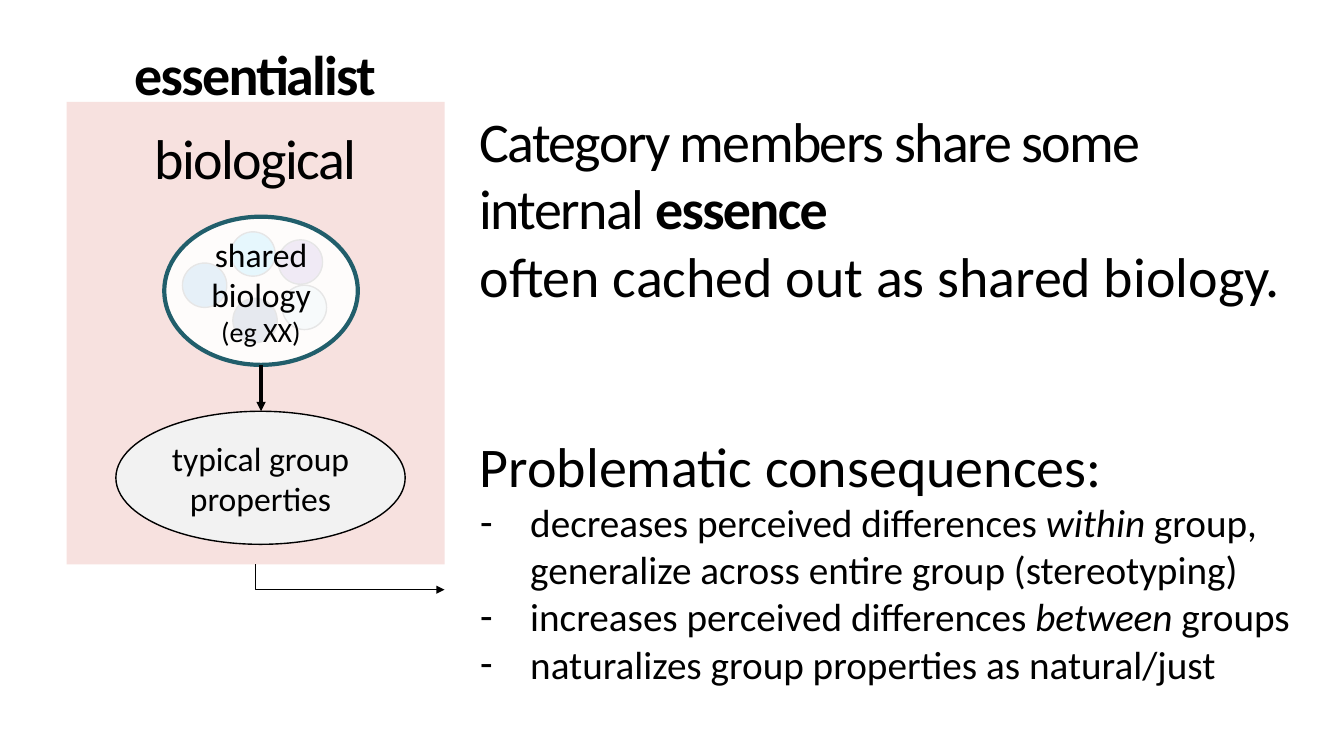
from lxml import etree
from pptx import Presentation
from pptx.dml.color import RGBColor
from pptx.enum.shapes import MSO_CONNECTOR, MSO_SHAPE
from pptx.enum.text import MSO_ANCHOR, MSO_AUTO_SIZE, PP_ALIGN
from pptx.oxml.ns import qn
from pptx.util import Inches, Pt

RECT, OVAL = MSO_SHAPE.RECTANGLE, MSO_SHAPE.OVAL
LINE, ELBOW = MSO_CONNECTOR.STRAIGHT, MSO_CONNECTOR.ELBOW
TOP, MID = MSO_ANCHOR.TOP, MSO_ANCHOR.MIDDLE
LEFT, MIDDLE = PP_ALIGN.LEFT, PP_ALIGN.CENTER
FIXED = MSO_AUTO_SIZE.NONE

BLACK = RGBColor(0x00, 0x00, 0x00)
WHITE = RGBColor(0xFF, 0xFF, 0xFF)
PINK = RGBColor(0xF7, 0xE1, 0xDF)
GRAY = RGBColor(0xF2, 0xF2, 0xF2)
TEAL = RGBColor(0x21, 0x5E, 0x6B)
NAVY = RGBColor(0x00, 0x20, 0x60)
SKY = RGBColor(0x00, 0xB0, 0xF0)
BLUE = RGBColor(0x00, 0x70, 0xC0)
PURPLE = RGBColor(0x70, 0x30, 0xA0)
PALE = RGBColor(0xB5, 0xD2, 0xD9)

FONT = "Calibri"
WIDE, HIGH = Inches(13.33), Inches(7.5)
COL, ROW = WIDE / 160, HIGH / 90
DOT = 5.28
DOTS = [
    (19.8, 23.4, NAVY),
    (19.56, 15.48, SKY),
    (13.8, 19.2, BLUE),
    (25.2, 16.44, PURPLE),
    (25.68, 21.84, PALE),
]
POINTS = [
    [("decreases perceived differences ", ""), ("within", "i"),
     (" group, generalize across entire group (stereotyping)", "")],
    [("increases perceived differences ", ""), ("between", "i"), (" groups", "")],
    [("naturalizes group properties as natural/just", "")],
]


def place(box, x, y, w=0, h=0):
    return (round((box[0] + x) * COL), round((box[1] + y) * ROW),
            round(w * COL), round(h * ROW))


def move(shape, spot):
    shape.left, shape.top, shape.width, shape.height = spot


def frame(shape, anchor):
    text = shape.text_frame
    text.word_wrap = True
    text.auto_size = FIXED
    text.vertical_anchor = anchor
    return text


def write(para, runs, size, align=LEFT, bold=False, tight=False):
    para.alignment = align
    para.space_before = Pt(0)
    font = para.font
    font.name, font.size, font.bold = FONT, Pt(size), bold
    font.color.rgb = BLACK
    for words, style in runs:
        for i, part in enumerate(words.split("\n")):
            if i:
                para.add_line_break()
            if part:
                run = para.add_run()
                run.text = part
                if style == "b":
                    run.font.bold = True
                if style == "i":
                    run.font.italic = True
                if style == "small":
                    run.font.size = Pt(20)
                if tight:
                    run._r.get_or_add_rPr().set("spc", "-120")


def label(slide, spot, runs, size, anchor=TOP, align=LEFT, tight=False):
    text = frame(slide.shapes.add_textbox(*spot), anchor)
    write(text.paragraphs[0], runs, size, align, tight=tight)


def form(slide, kind, spot, fill, edge=None, width=1):
    shape = slide.shapes.add_shape(kind, *spot)
    shape.shadow.inherit = False
    shape.fill.solid()
    shape.fill.fore_color.rgb = fill
    if edge is None:
        shape.line.fill.background()
    else:
        shape.line.color.rgb = edge
        shape.line.width = Pt(width)
    return shape


def arrow(slide, kind, start, end, width):
    link = slide.shapes.add_connector(kind, *start, *end)
    link.line.color.rgb = BLACK
    link.line.width = Pt(width)
    etree.SubElement(link.line._get_or_add_ln(), qn("a:tailEnd"), type="triangle")
    etree.SubElement(link._element.spPr, qn("a:effectLst"))
    return link


def bend(slide, start, end, width):
    mid_x, mid_y = (start[0] + end[0]) // 2, (start[1] + end[1]) // 2
    half, drop = (end[0] - start[0]) // 2, (end[1] - start[1]) // 2
    link = arrow(slide, ELBOW, (mid_x + drop, mid_y - half),
                 (mid_x - drop, mid_y + half), width)
    props = link._element.spPr
    props.find(qn("a:prstGeom")).set("prst", "bentConnector2")
    props.find(qn("a:xfrm")).set("rot", str(270 * 60000))


def bullet(para, mark):
    props = para._p.get_or_add_pPr()
    inset = Inches(0.5) if mark else 0
    props.set("marL", str(inset))
    props.set("indent", str(-inset))
    if mark:
        etree.SubElement(props, qn("a:buFontTx"))
        etree.SubElement(props, qn("a:buChar"), char=mark)
    else:
        etree.SubElement(props, qn("a:buNone"))


def model(slide, box):
    wide, high = box[2:]
    form(slide, RECT, place(box, 0, 0, wide, high), PINK)
    for x, y, color in DOTS:
        form(slide, OVAL, place(box, x, y, DOT, DOT), color, BLACK)

    core = form(slide, OVAL, place(box, 11.64, 13.68, 23.04, 17.64), WHITE, TEAL, 3)
    tint = core.fill._xPr.find(qn("a:solidFill"))[0]
    etree.SubElement(tint, qn("a:alpha"), val="90000")
    write(frame(core, MID).paragraphs[0],
          [("shared biology\n", ""), ("(eg XX)", "small")], 24, MIDDLE)

    group = form(slide, OVAL, place(box, 5.88, 36.84, 34.44, 15.84), GRAY, BLACK)
    write(frame(group, MID).paragraphs[0],
          [("typical group properties", "")], 24, MIDDLE)

    axis = core.left + core.width // 2
    arrow(slide, LINE, (axis, core.top + core.height), (axis, group.top), 2.25)
    label(slide, place(box, 7.32, 0, 30.36, 13.2), [("biological", "")],
          40, MID, MIDDLE, True)
    bend(slide, place(box, wide / 2, high)[:2], place(box, wide, high + 3)[:2], 0.75)

    title = slide.shapes.title
    move(title, place(box, 1.8, -9.36, 41.28, 12))
    write(frame(title, MID).paragraphs[0], [("essentialist", "")],
          40, MIDDLE, True, True)


def notes(slide, box):
    wide = box[2]
    label(slide, place(box, 0, 0, wide, 16.44),
          [("Category members share some \ninternal ", ""), ("essence", "b")],
          40, tight=True)
    label(slide, place(box, 0, 16.08, wide, 9.24),
          [("often cached out as shared biology.", "")], 40)

    body = slide.placeholders[1]
    move(body, place(box, 0, 38.64, 101.04, 31.92))
    text = frame(body, TOP)
    head = text.paragraphs[0]
    bullet(head, "")
    write(head, [("Problematic consequences:", "")], 40)
    for runs in POINTS:
        para = text.add_paragraph()
        bullet(para, "-")
        write(para, runs, 28)


def main():
    deck = Presentation()
    deck.slide_width, deck.slide_height = WIDE, HIGH
    slide = deck.slides.add_slide(deck.slide_layouts[1])
    model(slide, (7.92, 12.12, 45, 55.08))
    notes(slide, (55.92, 12.12, 104.04, 70.56))
    deck.save("out.pptx")


if __name__ == "__main__":
    main()
